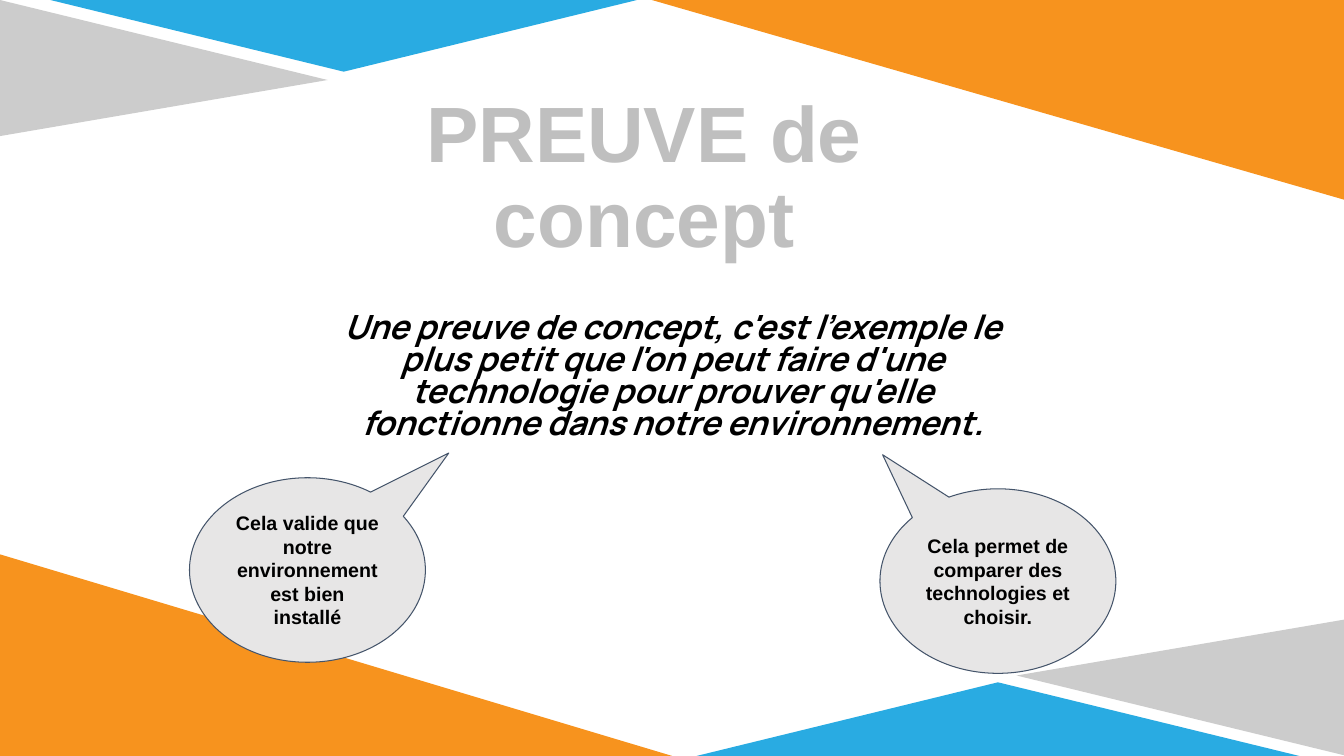
"""Build the "PREUVE de concept" slide."""
from pptx import Presentation
from pptx.dml.color import RGBColor
from pptx.enum.shapes import MSO_SHAPE
from pptx.enum.text import MSO_ANCHOR, PP_ALIGN
from pptx.util import Pt

TRIANGLE = MSO_SHAPE.ISOSCELES_TRIANGLE
RIGHT_TRIANGLE = MSO_SHAPE.RIGHT_TRIANGLE
CALLOUT = MSO_SHAPE.OVAL_CALLOUT
TOP = MSO_ANCHOR.TOP
MIDDLE = MSO_ANCHOR.MIDDLE
CENTER = PP_ALIGN.CENTER

BLACK = RGBColor(0x00, 0x00, 0x00)
TITLE_GRAY = RGBColor(0xBF, 0xBF, 0xBF)
BUBBLE_GRAY = RGBColor(0xE7, 0xE6, 0xE6)
OUTLINE = RGBColor(0x44, 0x54, 0x6A)
GRAY = RGBColor(0xCC, 0xCC, 0xCC)
BLUE = RGBColor(0x29, 0xAB, 0xE2)
ORANGE = RGBColor(0xF7, 0x93, 0x1E)

SLIDE_WIDTH, SLIDE_HEIGHT = 960, 540
INSET = 7.2
BUBBLE_WIDTH, BUBBLE_HEIGHT = 168.5, 131.8

DECORATIONS = [
    (TRIANGLE, (68.4, -68.4, 97.2, 234), GRAY, 90, 0.588),
    (TRIANGLE, (30.2, -1.4, 430.6, 52.6), BLUE, 180, 0.5),
    (TRIANGLE, (794.9, 373.7, 97.2, 234.7), GRAY, 270, 0.588),
    (TRIANGLE, (497.5, 487.4, 430.6, 52.6), BLUE, 0, 0.5),
    (RIGHT_TRIANGLE, (0, 396, 480.2, 144), ORANGE, 0, None),
    (RIGHT_TRIANGLE, (460.8, -1.4, 499.2, 144), ORANGE, 180, None),
]
BUBBLES = [
    (135.4, 341.3, (0.599, -0.634),
     "Cela valide que notre environnement est bien installé"),
    (628.6, 349.2, (-0.489, -0.685),
     "Cela permet de comparer des technologies et choisir."),
]
TITLE = "PREUVE de concept"
DEFINITION = (
    "Une preuve de concept, c'est l'exemple le plus petit que l'on peut faire "
    "d'une technologie pour prouver qu'elle fonctionne dans notre environnement."
)


def add_filled_shape(slide, kind, box, color):
    """Add a flat preset shape without an outline."""
    shape = slide.shapes.add_shape(kind, *map(Pt, box))
    shape.shadow.inherit = False
    shape.fill.solid()
    shape.fill.fore_color.rgb = color
    shape.line.fill.background()
    return shape


def write_text(shape, text, size, color=BLACK, font_name="Arial",
               anchor=MIDDLE, spacing=1.0, italic=False):
    """Write one bold, centred paragraph into a shape."""
    frame = shape.text_frame
    frame.word_wrap = True
    frame.vertical_anchor = anchor
    frame.margin_left = frame.margin_right = Pt(INSET)
    frame.margin_top = frame.margin_bottom = Pt(INSET)
    paragraph = frame.paragraphs[0]
    paragraph.text = text
    paragraph.alignment = CENTER
    paragraph.line_spacing = spacing
    font = paragraph.font
    font.name = font_name
    font.size = Pt(size)
    font.bold = True
    font.italic = italic
    font.color.rgb = color


def add_decoration(slide, kind, box, color, rotation, apex):
    """Add a coloured triangle at the edge of the slide."""
    shape = add_filled_shape(slide, kind, box, color)
    shape.rotation = rotation
    if apex is not None:
        shape.adjustments[0] = apex


def add_bubble(slide, left, top, tip, text):
    """Add an oval speech bubble whose tail ends at the tip."""
    box = (left, top, BUBBLE_WIDTH, BUBBLE_HEIGHT)
    shape = add_filled_shape(slide, CALLOUT, box, BUBBLE_GRAY)
    shape.line.color.rgb = OUTLINE
    shape.line.width = Pt(0.75)
    shape.adjustments[0], shape.adjustments[1] = tip
    write_text(shape, text, 14)


def add_text(slide, box, text, size, **style):
    """Add a text box."""
    write_text(slide.shapes.add_textbox(*map(Pt, box)), text, size, **style)


def main():
    """Build and save the presentation."""
    presentation = Presentation()
    presentation.slide_width = Pt(SLIDE_WIDTH)
    presentation.slide_height = Pt(SLIDE_HEIGHT)
    slide = presentation.slides.add_slide(presentation.slide_layouts[6])
    for decoration in DECORATIONS:
        add_decoration(slide, *decoration)
    add_text(slide, (234, 226.8, 492.5, 86.4), DEFINITION, 23.8,
             font_name="Manrope", spacing=0.8, italic=True)
    add_text(slide, (214.6, 60.5, 491, 126.7), TITLE, 56,
             color=TITLE_GRAY, anchor=TOP, spacing=0.9)
    for bubble in BUBBLES:
        add_bubble(slide, *bubble)
    presentation.save("out.pptx")


if __name__ == "__main__":
    main()
